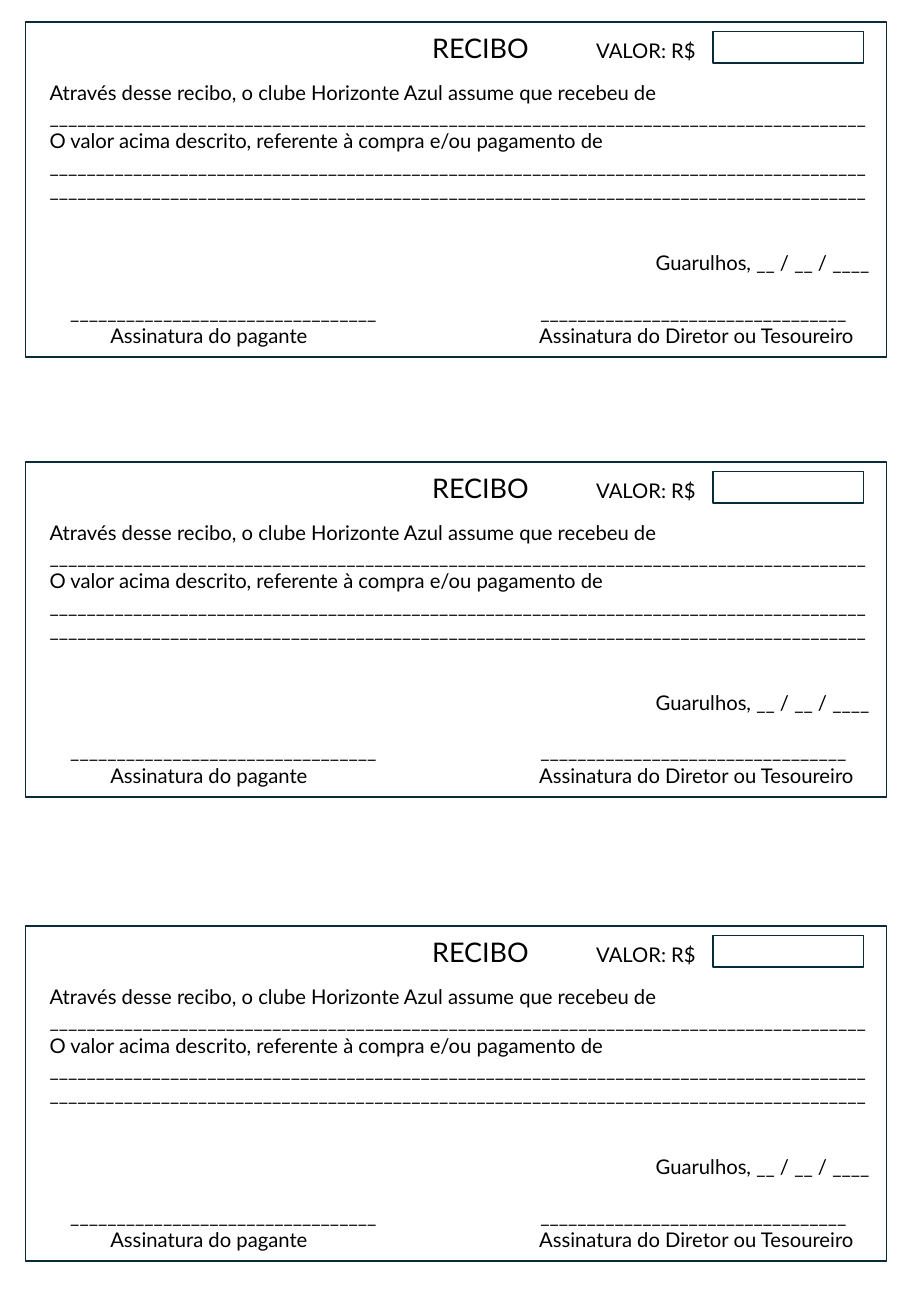
from lxml import etree
from pptx import Presentation
from pptx.dml.color import RGBColor
from pptx.enum.shapes import MSO_SHAPE
from pptx.enum.text import MSO_AUTO_SIZE
from pptx.oxml.ns import qn
from pptx.util import Inches, Pt

RECT = MSO_SHAPE.RECTANGLE
GROW = MSO_AUTO_SIZE.SHAPE_TO_FIT_TEXT
FONT = "Lato"
LINE = 14.4
RECEIPT_TOPS = [0.18, 3.8, 7.62]
FRAMES = [(0.21, 0, 7.09, 2.76), (5.87, 0.08, 1.24, 0.26)]
HEADING = [[("\tRECIBO", 16), ("\tVALOR: R$", 12)], 0, [3.15, 4.5]]
SIGNATURE = "_" * 33
BODY = [
    ("Através desse recibo, o clube Horizonte Azul assume que recebeu de", 0, []),
    ("_" * 88, 0, []),
    ("O valor acima descrito, referente à compra e/ou pagamento de", 0, []),
    ("_" * 176, 0, []),
    ("\tGuarulhos, __ / __ / ____", 2 * LINE, [4.99]),
    (f"\t{SIGNATURE}\t{SIGNATURE}", LINE, [0.17, 4.04]),
    ("\tAssinatura do pagante\tAssinatura do Diretor ou Tesoureiro", 0, [0.5, 4.03]),
]
TEXTS = [
    ((0.31, 0.03, 6.89, 0.37), [HEADING]),
    ((0.31, 0.43, 6.99, 2.52), [([(text, 12)], gap, tabs) for text, gap, tabs in BODY]),
]


def color(value):
    return RGBColor.from_string(value)


def add_text(box, paragraphs):
    tf = s.shapes.add_textbox(*[Inches(v) for v in box]).text_frame
    tf.word_wrap = True
    tf.auto_size = GROW
    for i, (runs, gap, tabs) in enumerate(paragraphs):
        p = tf.add_paragraph() if i else tf.paragraphs[0]
        p.space_before = Pt(gap)
        for text, size in runs:
            r = p.add_run()
            r.text = text
            r.font.name = FONT
            r.font.size = Pt(size)
            r.font.color.rgb = color("000000")
        if tabs:
            stops = etree.SubElement(p._p.get_or_add_pPr(), qn("a:tabLst"))
            for tab in tabs:
                etree.SubElement(stops, qn("a:tab"), pos=str(Inches(tab)), algn="l")


prs = Presentation()
prs.slide_width = Inches(7.5)
prs.slide_height = Inches(10.83)
s = prs.slides.add_slide(prs.slide_layouts[6])

for top in RECEIPT_TOPS:
    for (x, y, w, h), (text_box, paragraphs) in zip(FRAMES, TEXTS):
        sp = s.shapes.add_shape(RECT, Inches(x), Inches(top + y), Inches(w), Inches(h))
        sp.shadow.inherit = False
        sp.fill.background()
        sp.line.color.rgb = color("092A39")
        sp.line.width = Pt(1)
        left, offset, width, height = text_box
        add_text((left, top + offset, width, height), paragraphs)

prs.save("out.pptx")
